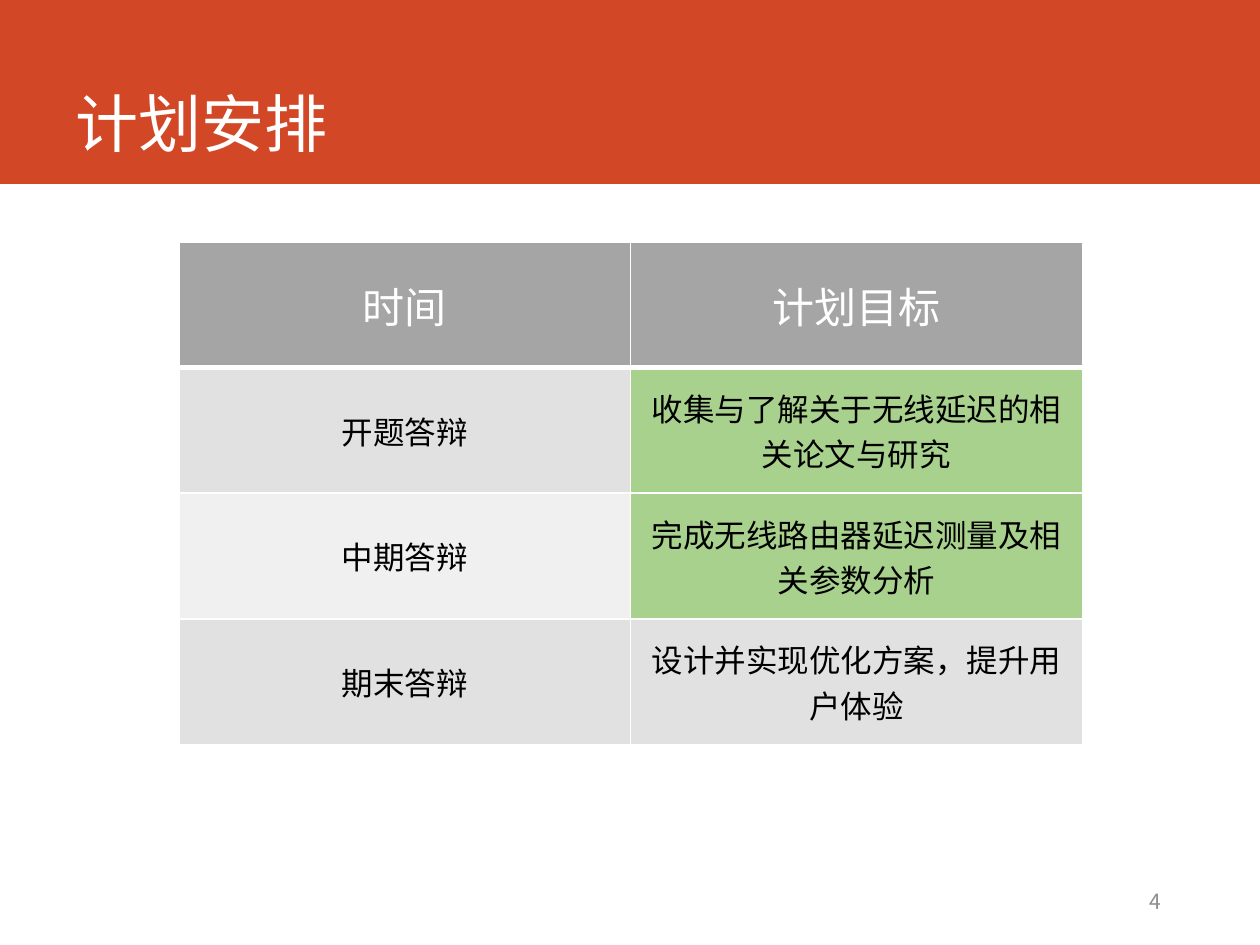
from pptx import Presentation
from pptx.dml.color import RGBColor
from pptx.enum.shapes import MSO_SHAPE
from pptx.enum.text import MSO_ANCHOR, MSO_AUTO_SIZE, PP_ALIGN
from pptx.oxml.ns import qn
from pptx.util import Inches, Pt
from lxml.etree import SubElement

FONT = "Noto Sans CJK SC"
WHITE = RGBColor(0xFF, 0xFF, 0xFF)
BLACK = RGBColor(0x00, 0x00, 0x00)
RED = RGBColor(0xD2, 0x47, 0x26)
GRAY = RGBColor(0xA5, 0xA5, 0xA5)
DARK = RGBColor(0xE1, 0xE1, 0xE1)
LIGHT = RGBColor(0xF0, 0xF0, 0xF0)
GREEN = RGBColor(0xA9, 0xD1, 0x8E)
MUTED = RGBColor(0x8C, 0x8C, 0x8C)

HEAD = ("时间", "计划目标")
PLAN = [
    ("开题答辩", "收集与了解关于无线延迟的相关论文与研究", DARK, GREEN),
    ("中期答辩", "完成无线路由器延迟测量及相关参数分析", LIGHT, GREEN),
    ("期末答辩", "设计并实现优化方案，提升用户体验", DARK, DARK),
]


def write(frame, text, size=18, color=BLACK, align=PP_ALIGN.CENTER):
    para = frame.paragraphs[0]
    para.alignment = align
    run = para.add_run()
    run.text = text
    font = run.font
    font.name, font.size, font.bold = FONT, Pt(size), False
    font.color.rgb = color
    SubElement(run._r.get_or_add_rPr(), qn("a:ea"), typeface=FONT)


def border(cell, **widths):
    props = cell._tc.get_or_add_tcPr()
    for spot, side in enumerate("LRTB"):
        width = Pt(widths.get(side, 1))
        line = SubElement(props, qn(f"a:ln{side}"), w=str(int(width)))
        fill = SubElement(line, qn("a:solidFill"))
        SubElement(fill, qn("a:srgbClr"), val=str(WHITE))
        props.insert(spot, line)


def add_title(slide, left, top, width, height):
    band = slide.shapes.add_shape(MSO_SHAPE.RECTANGLE, left, top, width, height)
    band.shadow.inherit = False
    band.fill.solid()
    band.fill.fore_color.rgb = RED
    band.line.fill.background()
    title = slide.shapes.title
    title.element.addprevious(band.element)
    title.left, title.top = left + Inches(0.5), top
    title.width, title.height = Inches(8.82), height - Inches(0.14)
    frame = title.text_frame
    frame.auto_size = MSO_AUTO_SIZE.NONE
    frame.vertical_anchor = MSO_ANCHOR.BOTTOM
    write(frame, "计划安排", size=36, color=WHITE, align=PP_ALIGN.LEFT)


def fill_cell(cell, text, shade, edge=1, **style):
    cell.vertical_anchor = MSO_ANCHOR.MIDDLE
    cell.fill.solid()
    cell.fill.fore_color.rgb = shade
    border(cell, B=edge)
    write(cell.text_frame, text, **style)


def add_plan(slide, left, top, width, height):
    rows = len(PLAN) + 1
    table = slide.shapes.add_table(rows, len(HEAD), left, top, width, height).table
    for col, text in enumerate(HEAD):
        fill_cell(table.cell(0, col), text, GRAY, edge=3, size=24, color=WHITE)
    for row, (time, goal, shade, mark) in enumerate(PLAN, 1):
        fill_cell(table.cell(row, 0), time, shade)
        fill_cell(table.cell(row, 1), goal, mark)


def add_number(slide, left, top, width, height):
    frame = slide.shapes.add_textbox(left, top, width, height).text_frame
    frame.word_wrap = True
    frame.vertical_anchor = MSO_ANCHOR.MIDDLE
    write(frame, "4", size=12, color=MUTED, align=PP_ALIGN.RIGHT)


def main():
    deck = Presentation()
    deck.slide_width, deck.slide_height = Inches(10), Inches(7.5)
    slide = deck.slides.add_slide(deck.slide_layouts[5])
    add_title(slide, Inches(0), Inches(0), deck.slide_width, Inches(1.46))
    add_plan(slide, Inches(1.42), Inches(1.92), Inches(7.17), Inches(3.99))
    add_number(slide, Inches(6.62), Inches(6.95), Inches(2.69), Inches(0.4))
    deck.save("out.pptx")


if __name__ == "__main__":
    main()
